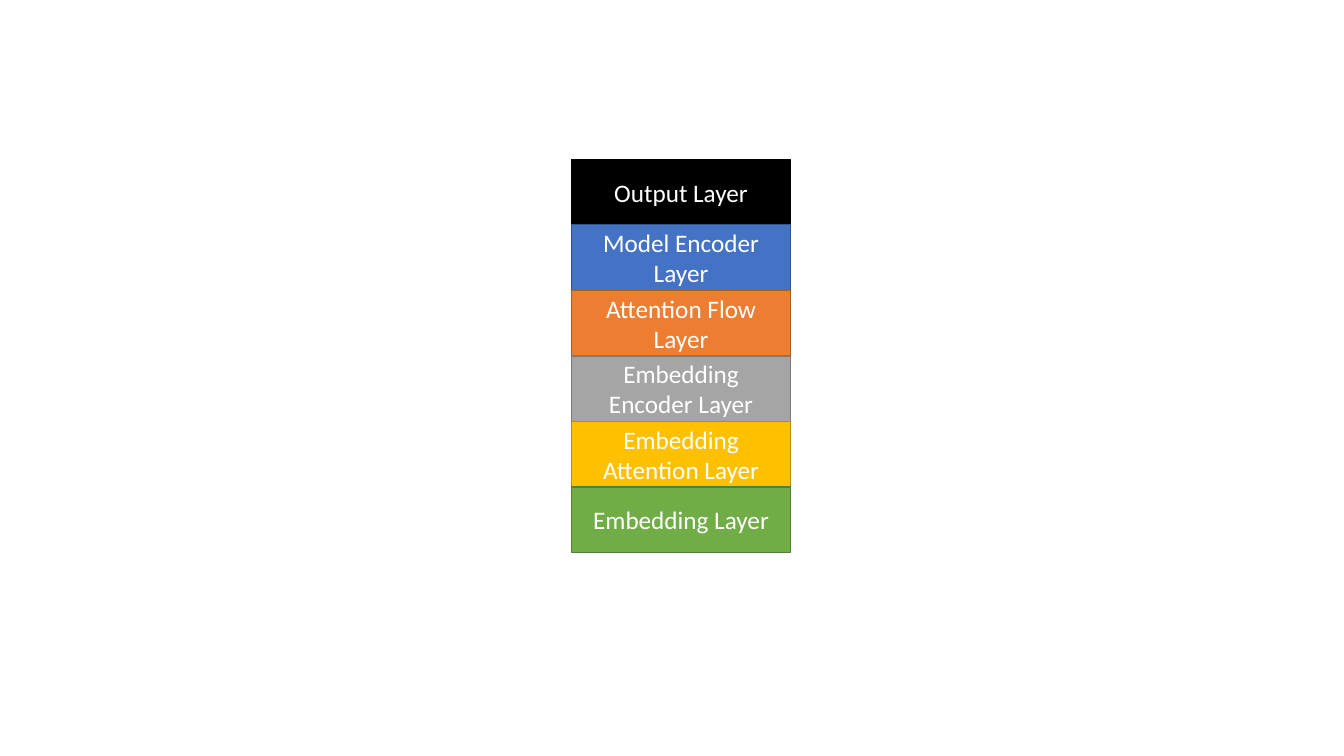
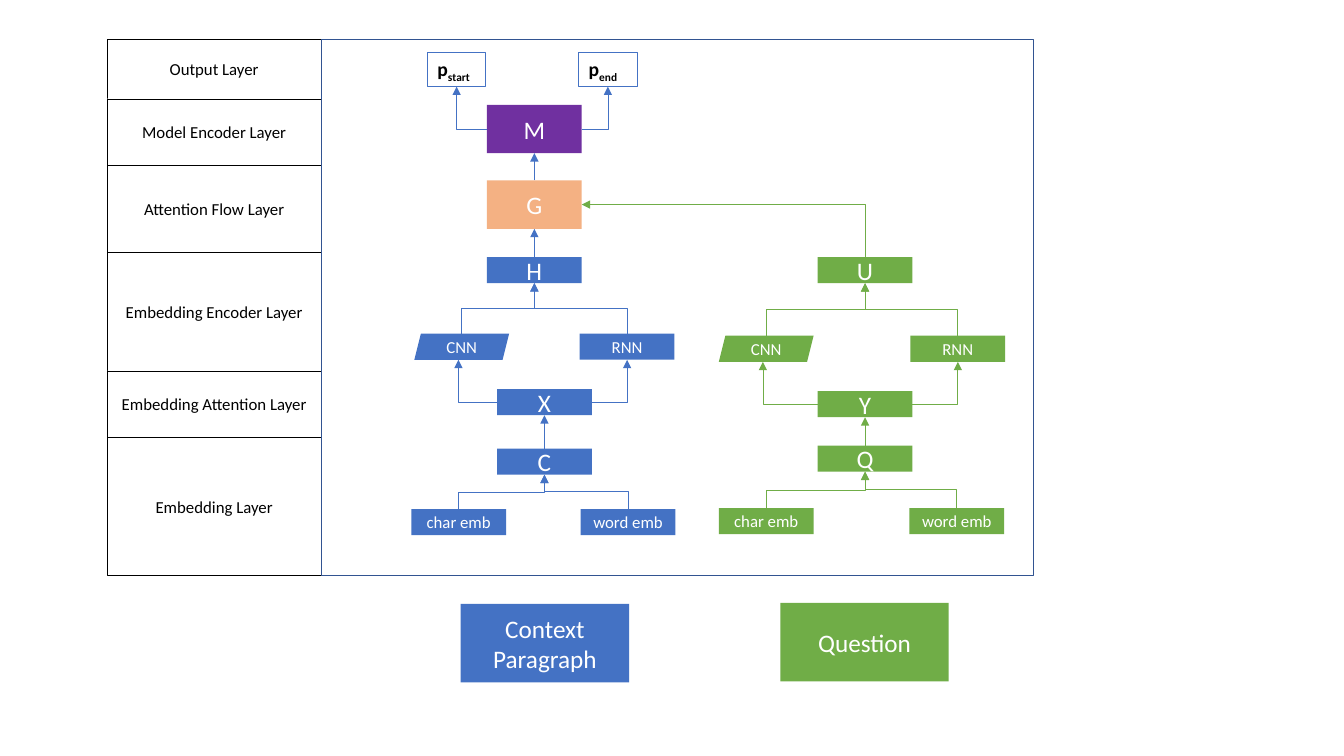
from dataclasses import dataclass

from pptx import Presentation
from pptx.dml.color import RGBColor
from pptx.enum.shapes import MSO_CONNECTOR, MSO_SHAPE
from pptx.enum.text import MSO_ANCHOR, PP_ALIGN
from pptx.oxml.ns import qn
from pptx.util import Inches, Pt
from lxml.etree import SubElement


@dataclass(frozen=True)
class Theme:
    """Colours, font and type sizes shared by the slides."""
    font: str = "Calibri"
    white: str = "FFFFFF"
    black: str = "000000"
    blue: str = "4472C4"
    blue_edge: str = "325491"
    green: str = "70AD47"
    green_edge: str = "538035"
    orange: str = "ED7D31"
    orange_edge: str = "AF5C24"
    grey: str = "A5A5A5"
    grey_edge: str = "7A7A7A"
    gold: str = "FFC000"
    gold_edge: str = "BD8E00"
    peach: str = "F4B183"
    purple: str = "7030A0"
    large: int = 18
    medium: int = 14
    small: int = 12
    arrow: float = 0.5
    hairline: float = 0.25


T = Theme()
TOP, LEFT, BOTTOM, RIGHT = range(4)
NODE_W, NODE_H = 0.94, 0.26
TALL_H = 0.48

LAYERS = [
    ("Output Layer", T.black, T.black, 0.59),
    ("Model Encoder Layer", T.blue, T.blue_edge, 0.66),
    ("Attention Flow Layer", T.orange, T.orange_edge, 0.86),
    ("Embedding Encoder Layer", T.grey, T.grey_edge, 1.18),
    ("Embedding Attention Layer", T.gold, T.gold_edge, 0.66),
    ("Embedding Layer", T.green, T.green_edge, 1.37),
]

CONTEXT_NODES = {
    "char emb": (4.08, 5.05), "word emb": (5.76, 5.05),
    "C": (4.93, 4.45), "X": (4.93, 3.86),
    "CNN": (4.11, 3.31), "RNN": (5.75, 3.31), "H": (4.83, 2.55),
}
QUESTION_NODES = {
    "char emb": (7.13, 5.04), "word emb": (9.02, 5.04),
    "Q": (8.11, 4.42), "Y": (8.11, 3.88),
    "CNN": (7.13, 3.33), "RNN": (9.03, 3.33), "U": (8.11, 2.55),
}


def rgb(color):
    """Turn a hex string into a colour."""
    return RGBColor.from_string(color)


def style_run(r, size, color, bold=False):
    """Set the font of a run."""
    r.font.name, r.font.size, r.font.bold = T.font, Pt(size), bold
    r.font.color.rgb = rgb(color)


def style_line(line, color, width):
    """Set the outline, or remove it when there is no colour."""
    if color is None:
        line.fill.background()
        return
    line.color.rgb = rgb(color)
    line.width = Pt(width)


def box(s, at, text="", fill=None, edge=None, edge_pt=1, size=T.large,
        color=T.white, kind=MSO_SHAPE.RECTANGLE):
    """Add a preset shape with centred text."""
    sp = s.shapes.add_shape(kind, *map(Inches, at))
    sp.shadow.inherit = False
    if fill:
        sp.fill.solid()
        sp.fill.fore_color.rgb = rgb(fill)
    else:
        sp.fill.background()
    style_line(sp.line, edge, edge_pt)
    if text:
        tf = sp.text_frame
        tf.text = text
        tf.word_wrap = True
        tf.vertical_anchor = MSO_ANCHOR.MIDDLE
        p = tf.paragraphs[0]
        p.alignment = PP_ALIGN.CENTER
        style_run(p.runs[0], size, color)
    return sp


def subscript_box(s, at, base, sub):
    """Add an outlined text box with a bold symbol and its subscript."""
    sp = s.shapes.add_textbox(*map(Inches, at))
    style_line(sp.line, T.blue, 0.75)
    tf = sp.text_frame
    tf.word_wrap = True
    p = tf.paragraphs[0]
    p.text = base
    p.add_run().text = sub
    for r in p.runs:
        style_run(r, T.medium, T.black, bold=True)
    p.runs[1]._r.get_or_add_rPr().set("baseline", "-25000")
    return sp


def port(sp, side):
    """Return the middle of a side, following the slant of a parallelogram."""
    x, y = sp.left + sp.width // 2, sp.top + sp.height // 2
    if side in (LEFT, RIGHT):
        return (sp.left if side == LEFT else sp.left + sp.width), y
    if side == BOTTOM and len(sp.adjustments):
        x -= int(sp.height * sp.adjustments[0] / 2)
    return x, (sp.top if side == TOP else sp.top + sp.height)


def finish_arrow(c, color):
    """Give a connector its colour, arrowhead and no shadow."""
    style_line(c.line, color, T.arrow)
    spPr = c._element.spPr
    SubElement(spPr.find(qn("a:ln")), qn("a:tailEnd"), type="triangle")
    SubElement(spPr, qn("a:effectLst"))


def straight(s, lower, upper, color):
    """Join two stacked shapes with an upward arrow."""
    c = s.shapes.add_connector(MSO_CONNECTOR.STRAIGHT, 0, 0, 0, 0)
    c.begin_connect(lower, TOP)
    c.end_connect(upper, BOTTOM)
    finish_arrow(c, color)


def elbow(s, start, start_side, end, end_side, color):
    """Draw a bent arrow upward from one shape side to another."""
    (x1, y1), (x2, y2) = port(start, start_side), port(end, end_side)
    rising = start_side == TOP
    if rising:
        cx, cy, rise, run = (x1 + x2) // 2, (y1 + y2) // 2, y1 - y2, x2 - x1
        x1, x2 = cx - rise // 2, cx + rise // 2
        y1, y2 = cy - run // 2, cy + run // 2
    c = s.shapes.add_connector(MSO_CONNECTOR.ELBOW, x1, y1, x2, y2)
    spPr = c._element.spPr
    if rising:
        spPr.find(qn("a:xfrm")).set("rot", str(270 * 60000))
    if not (rising and end_side == BOTTOM):
        spPr.find(qn("a:prstGeom")).set("prst", "bentConnector2")
    finish_arrow(c, color)


def fork(s, stem, left, right, color):
    """Send bent arrows from the sides of one shape up to two others."""
    elbow(s, stem, LEFT, left, BOTTOM, color)
    elbow(s, stem, RIGHT, right, BOTTOM, color)


def merge(s, sources, target, color):
    """Lead bent arrows from several shapes up into one."""
    for sp in sources:
        elbow(s, sp, TOP, target, BOTTOM, color)


def branch(s, places, color):
    """Build one encoder branch and return its top node."""
    nodes = []
    for name, (x, y) in places.items():
        kind = MSO_SHAPE.PARALLELOGRAM if name == "CNN" else MSO_SHAPE.RECTANGLE
        size = T.large if len(name) == 1 else T.small
        nodes.append(box(s, (x, y, NODE_W, NODE_H), name, color,
                         size=size, kind=kind))
    char, word, embedded, attended, cnn, rnn, encoded = nodes
    merge(s, (char, word), embedded, color)
    straight(s, embedded, attended, color)
    fork(s, attended, cnn, rnn, color)
    merge(s, (cnn, rnn), encoded, color)
    return encoded


def stack_slide(s):
    """Build the coloured stack of layers."""
    height = 0.65
    for i, (name, fill, edge, _) in enumerate(LAYERS):
        box(s, (5.67, 1.58 + i * height, 2.17, height), name, fill, edge)


def layer_column(s, x, y, width):
    """Build the column of layer names."""
    for name, _, _, height in LAYERS:
        box(s, (x, y, width, height), name, T.white, T.black, T.hairline,
            T.small, T.black)
        y += height


def network_slide(s):
    """Build the network diagram beside its layer names."""
    layer_column(s, 1.06, 0.39, 2.13)
    box(s, (3.19, 0.39, 7.06, 5.32), edge=T.blue_edge, edge_pt=T.hairline)

    encoded_context = branch(s, CONTEXT_NODES, T.blue)
    encoded_question = branch(s, QUESTION_NODES, T.green)
    flow = box(s, (4.83, 1.79, NODE_W, TALL_H), "G", T.peach)
    model = box(s, (4.83, 1.04, NODE_W, TALL_H), "M", T.purple)
    start = subscript_box(s, (4.24, 0.52, 0.58, 0.34), "p", "start")
    end = subscript_box(s, (5.74, 0.52, 0.58, 0.34), "p", "end")

    straight(s, encoded_context, flow, T.blue)
    elbow(s, encoded_question, TOP, flow, RIGHT, T.green)
    straight(s, flow, model, T.blue)
    fork(s, model, start, end, T.blue)

    box(s, (4.57, 5.99, 1.67, 0.78), "Context Paragraph", T.blue)
    box(s, (7.74, 5.98, 1.67, 0.78), "Question", T.green)


def main():
    """Build and save the presentation."""
    prs = Presentation()
    prs.slide_width, prs.slide_height = Inches(13.33), Inches(7.5)
    for build in (stack_slide, network_slide):
        build(prs.slides.add_slide(prs.slide_layouts[6]))
    prs.save("out.pptx")


if __name__ == "__main__":
    main()
